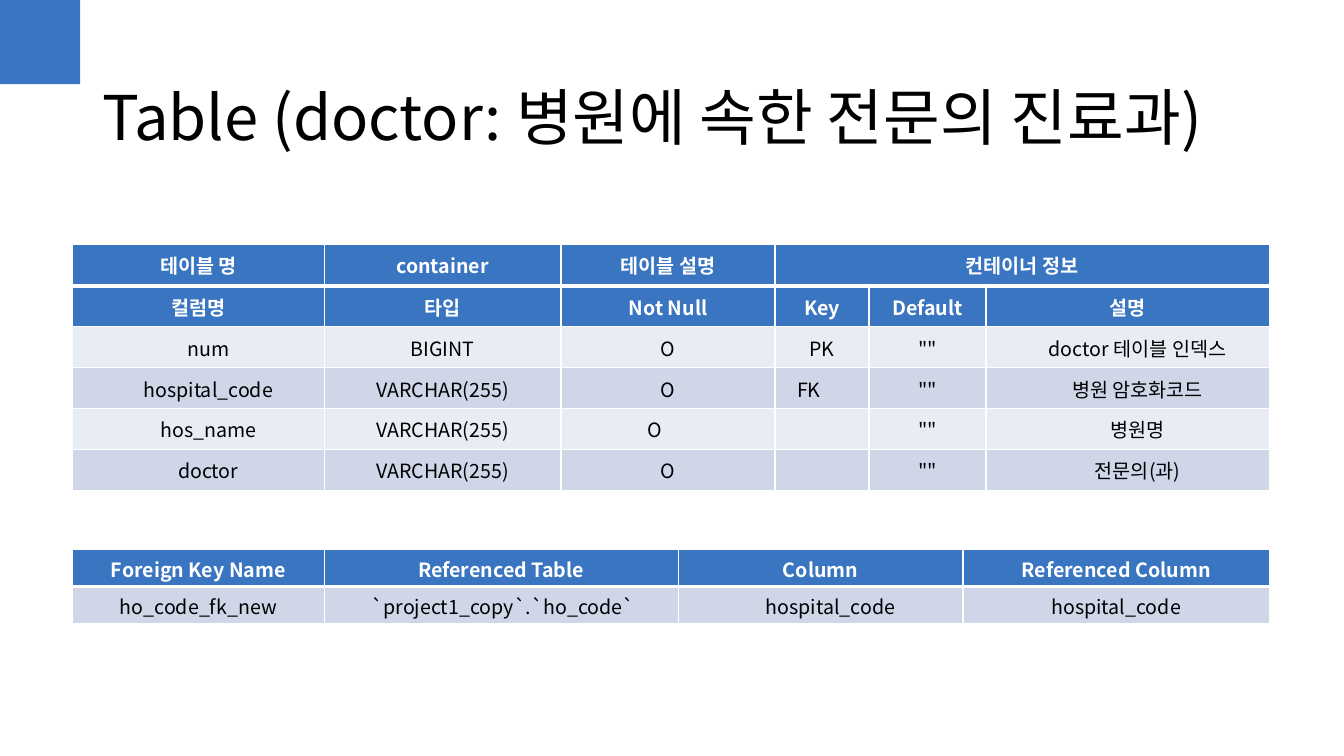
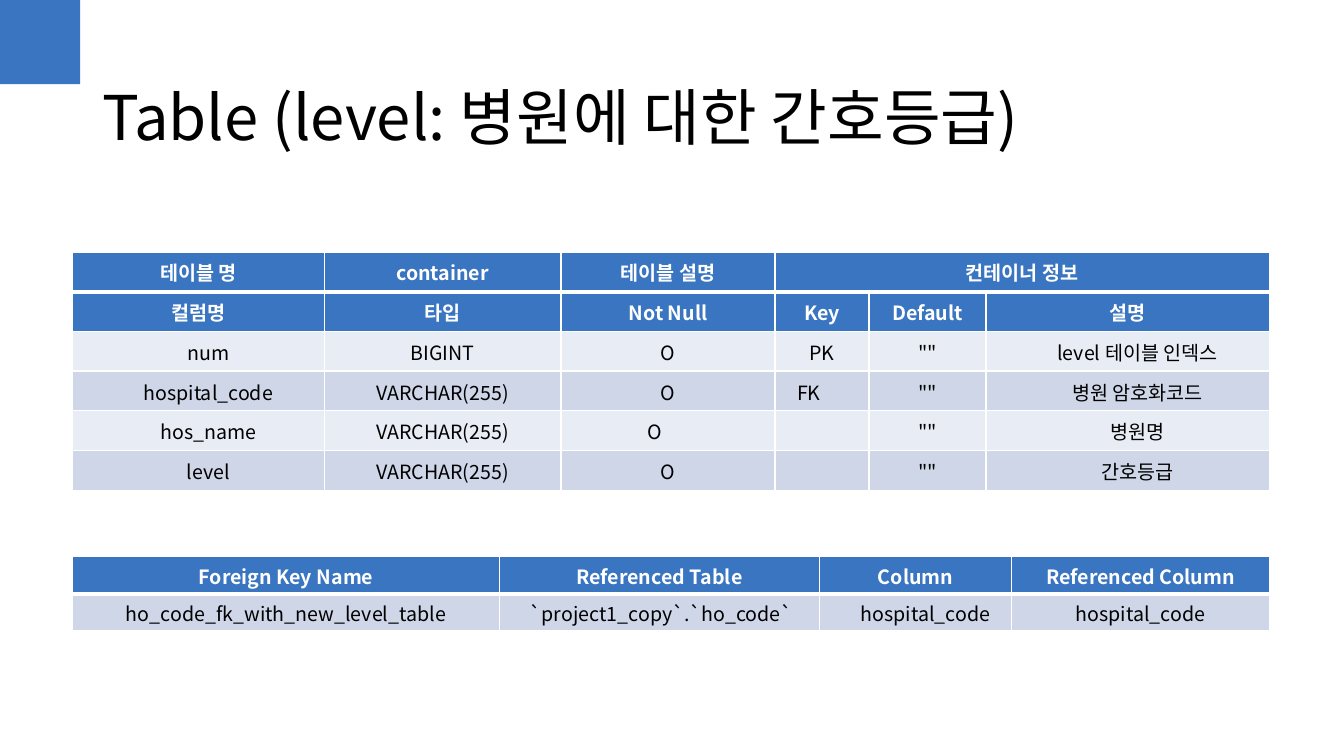
from dataclasses import dataclass

from lxml import etree
from pptx import Presentation
from pptx import util as u
from pptx.dml.color import RGBColor
from pptx.enum import shapes, text
from pptx.oxml import ns


@dataclass(frozen=True)
class Theme:
    font: str = "Noto Sans CJK KR"
    blue: str = "3975C0"
    pale: str = "E8ECF4"
    mid: str = "CED6E8"
    white: str = "FFFFFF"
    black: str = "000000"
    head: int = 44
    body: int = 14
    thin: int = 1
    thick: int = 3


class Deck:
    def __init__(self, theme):
        self.theme = theme
        self.prs = Presentation()
        self.prs.slide_width = u.Cm(33.87)
        self.prs.slide_height = u.Cm(19.05)
        self.slide = None

    def page(self, title, width):
        self.slide = self.prs.slides.add_slide(self.prs.slide_layouts[6])
        self.block(0, 0, 2.02, 2.12)
        self.title(title, width)

    def block(self, *box):
        rect = shapes.MSO_SHAPE.RECTANGLE
        shape = self.slide.shapes.add_shape(rect, *map(u.Cm, box))
        shape.shadow.inherit = False
        shape.fill.solid()
        shape.fill.fore_color.rgb = RGBColor.from_string(self.theme.blue)
        shape.line.fill.background()

    def title(self, words, width):
        box = map(u.Cm, (2.33, 0.9, width, 3.68))
        frame = self.slide.shapes.add_textbox(*box).text_frame
        frame.word_wrap = True
        frame.vertical_anchor = text.MSO_ANCHOR.MIDDLE
        para = frame.paragraphs[0]
        para.line_spacing = 1.18
        self.run(para, words, self.theme.head, self.theme.black)

    def run(self, para, words, size, color, bold=False):
        run = para.add_run()
        run.text = words
        font = run.font
        font.size = u.Pt(size)
        font.bold = bold
        font.color.rgb = RGBColor.from_string(color)
        font.name = self.theme.font
        props = run._r.get_or_add_rPr()
        etree.SubElement(props, ns.qn("a:ea"), typeface=self.theme.font)

    def edges(self, cell, base):
        props = cell._tc.get_or_add_tcPr()
        for side in "LRTB":
            width = base if side == "B" else self.theme.thin
            line = etree.SubElement(
                props, ns.qn("a:ln" + side), w=str(u.Pt(width)))
            fill = etree.SubElement(line, ns.qn("a:solidFill"))
            etree.SubElement(fill, ns.qn("a:srgbClr"), val=self.theme.white)

    def cell(self, cell, words, fill, top, bold, indent, shift):
        self.edges(cell, self.theme.thick if top else self.theme.thin)
        cell.fill.solid()
        cell.fill.fore_color.rgb = RGBColor.from_string(fill)
        cell.vertical_anchor = text.MSO_ANCHOR.MIDDLE
        if not top:
            cell.margin_left = cell.margin_top = u.Cm(0.03)
            cell.margin_right = u.Cm(0.03 + shift)
            cell.margin_bottom = 0
        if not words:
            return
        para = cell.text_frame.paragraphs[0]
        para.alignment = text.PP_ALIGN.CENTER
        if indent:
            props = para._p.get_or_add_pPr()
            props.set("marL", str(u.Cm(indent)))
            props.set("indent", "0")
        color = self.theme.white if bold else self.theme.black
        self.run(para, words, self.theme.body, color, bold)

    def table(self, top, high, cols, heads, rows, indents, shifts=()):
        data = heads + rows
        frame = self.slide.shapes.add_table(
            len(data), len(cols), u.Cm(1.83), u.Cm(top),
            u.Cm(sum(cols)), u.Cm(high * len(data)))
        grid = frame.table
        for col, width in zip(grid.columns, cols):
            col.width = u.Cm(width)
        for i, row in enumerate(data):
            grid.rows[i].height = u.Cm(high)
            bold = i < len(heads)
            band = self.theme.mid if (len(data) - i) % 2 else self.theme.pale
            fill = self.theme.blue if bold else band
            for j, words in enumerate(row):
                indent = 0 if bold else indents.get(j, 0)
                shift = 0.66 if (i, j) in shifts else 0
                self.cell(grid.cell(i, j), words, fill,
                          i == 0, bold, indent, shift)
        return grid

    def fields(self, top, high, name, note):
        heads = [
            ["테이블 명", "container", "테이블 설명", "컨테이너 정보", "", ""],
            ["컬럼명", "타입", "Not Null", "Key", "Default", "설명"],
        ]
        kind = "VARCHAR(255)"
        rows = [
            ["num", "BIGINT", "O", "PK", '""', f"{name} 테이블 인덱스"],
            ["hospital_code", kind, "O", "FK", '""', "병원 암호화코드"],
            ["hos_name", kind, "O", "", '""', "병원명"],
            [name, kind, "O", "", '""', note],
        ]
        cols = [6.34, 5.97, 5.39, 2.37, 2.95, 7.14]
        grid = self.table(top, high, cols, heads, rows,
                          {0: 0.5, 5: 0.5}, {(3, 3), (4, 2)})
        grid.cell(0, 3).merge(grid.cell(0, 5))

    def keys(self, top, cols, name):
        heads = [["Foreign Key Name", "Referenced Table",
                  "Column", "Referenced Column"]]
        rows = [[name, "`project1_copy`.`ho_code`",
                 "hospital_code", "hospital_code"]]
        self.table(top, 0.94, cols, heads, rows, {1: 0.1, 2: 0.5})


def main():
    deck = Deck(Theme())

    deck.page("Table (doctor: 병원에 속한 전문의 진료과)", 31.54)
    deck.fields(6.17, 1.03, "doctor", "전문의(과)")
    deck.keys(13.84, [6.34, 8.92, 7.18, 7.72], "ho_code_fk_new")

    deck.page("Table (level: 병원에 대한 간호등급)", 29.21)
    deck.fields(6.35, 1, "level", "간호등급")
    deck.keys(14.02, [10.76, 8.06, 4.85, 6.49],
              "ho_code_fk_with_new_level_table")

    deck.prs.save("out.pptx")


if __name__ == "__main__":
    main()
